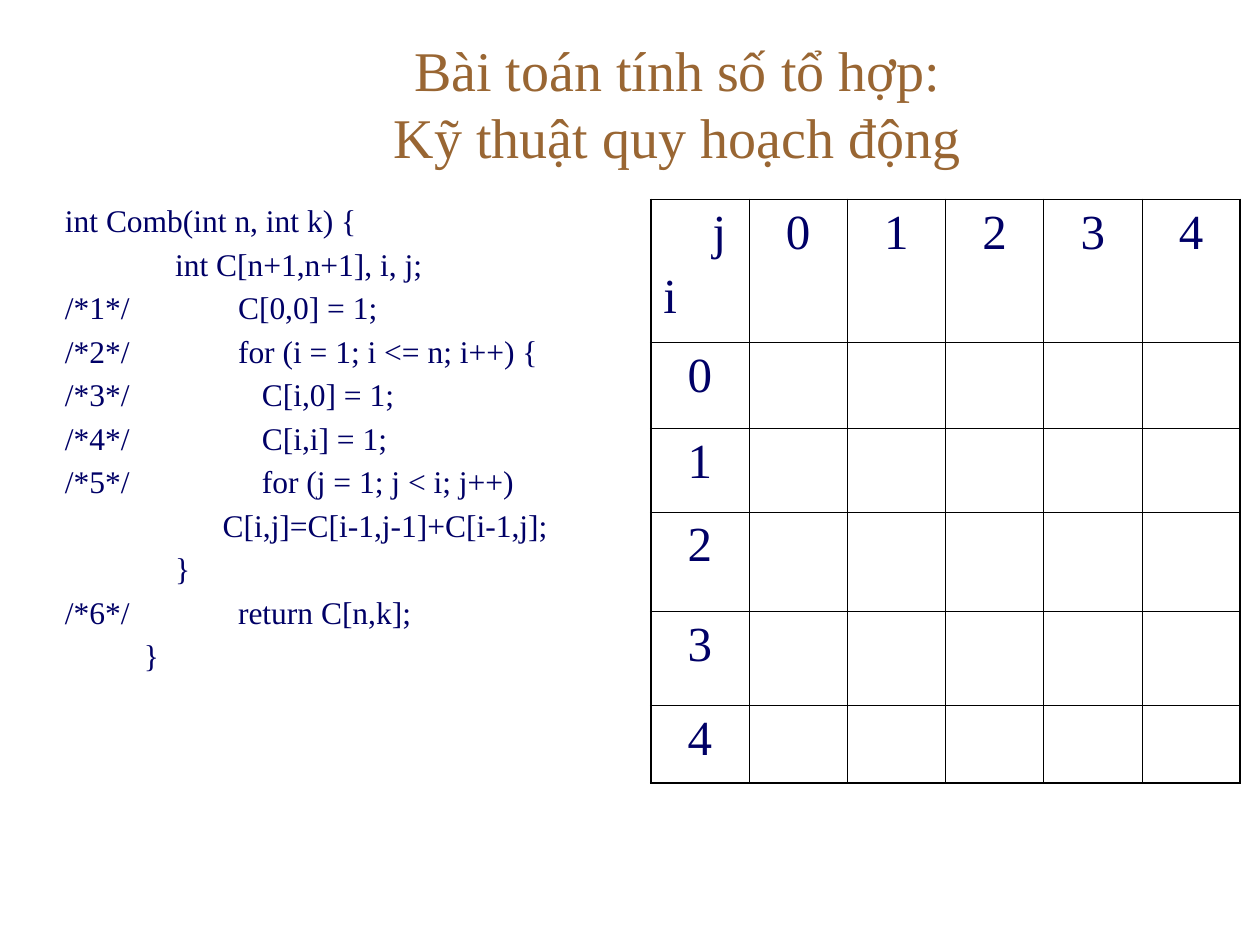
from pptx import Presentation
from pptx.dml.color import RGBColor
from pptx.enum.text import MSO_ANCHOR, PP_ALIGN
from pptx.oxml.ns import qn
from pptx.util import Cm, Pt
from lxml.etree import SubElement

COLORS = {"title": "996633", "text": "000066", "border": "000000"}
FONT = "Times New Roman"


def add_run(paragraph, text, size, color):
    run = paragraph.add_run()
    run.text = text
    run.font.name = FONT
    run.font.size = Pt(size)
    run.font.color.rgb = RGBColor.from_string(COLORS[color])


def set_indent(paragraph, left, first=0):
    properties = paragraph._p.get_or_add_pPr()
    properties.set("marL", str(Cm(left)))
    properties.set("indent", str(Cm(first)))


presentation = Presentation()
presentation.slide_width = Cm(25.4)
presentation.slide_height = Cm(19.05)
slide = presentation.slides.add_slide(presentation.slide_layouts[6])

# Title
title = slide.shapes.add_textbox(Cm(3.18), Cm(0.76), Cm(20.95), Cm(2.62))
title.text_frame.word_wrap = True
title.text_frame.vertical_anchor = MSO_ANCHOR.MIDDLE
paragraph = title.text_frame.paragraphs[0]
paragraph.alignment = PP_ALIGN.CENTER
add_run(paragraph, "Bài toán tính số tổ hợp:", 32, "title")
paragraph.add_line_break()
add_run(paragraph, "Kỹ thuật quy hoạch động", 32, "title")

# Code listing: line label, statement, indent of the statement in cm
code_lines = [
    ("", "int Comb(int n, int k) {", 0),
    ("", "int C[n+1,n+1], i, j;", 2.22),
    ("/*1*/", "C[0,0] = 1;", 3.49),
    ("/*2*/", "for (i = 1; i <= n; i++) {", 3.49),
    ("/*3*/", "C[i,0] = 1;", 3.97),
    ("/*4*/", "C[i,i] = 1;", 3.97),
    ("/*5*/", "for (j = 1; j < i; j++)", 3.97),
    ("", "C[i,j]=C[i-1,j-1]+C[i-1,j];", 3.18),
    ("", "}", 2.22),
    ("/*6*/", "return C[n,k];", 3.49),
    ("", "}", 1.59),
]
code = slide.shapes.add_textbox(Cm(1.06), Cm(4.02), Cm(11.85), Cm(12.5))
code.text_frame.word_wrap = True
for index, (label, statement, indent) in enumerate(code_lines):
    paragraph = code.text_frame.paragraphs[0] if index == 0 else code.text_frame.add_paragraph()
    paragraph.line_spacing = 0.9
    paragraph.space_before = Pt(5.4)
    set_indent(paragraph, indent, -indent if label else 0)
    add_run(paragraph, f"{label}\t{statement}" if label else statement, 18, "text")

# Table of C[i,j]
row_heights = [2.88, 1.73, 1.69, 2.0, 1.9, 1.57]
size = len(row_heights)
column_width = 1.98
table = slide.shapes.add_table(
    size, size, Cm(13.12), Cm(4.02), Cm(column_width * size), Cm(sum(row_heights))
).table
table.first_row = False
table.horz_banding = False
for column in table.columns:
    column.width = Cm(column_width)
for row, height in zip(table.rows, row_heights):
    row.height = Cm(height)

for i in range(size):
    for j in range(size):
        cell = table.cell(i, j)
        # Thick outer frame, thin inner grid
        properties = cell._tc.get_or_add_tcPr()
        outer_sides = {"a:lnL": j == 0, "a:lnR": j == size - 1,
                       "a:lnT": i == 0, "a:lnB": i == size - 1}
        for side, is_outer in outer_sides.items():
            line = SubElement(properties, qn(side), w=str(Pt(1.08 if is_outer else 0.45)))
            fill = SubElement(line, qn("a:solidFill"))
            SubElement(fill, qn("a:srgbClr"), val=COLORS["border"])
        cell.fill.background()

        # Index numbers along the top and the left
        if (i == 0) != (j == 0):
            paragraph = cell.text_frame.paragraphs[0]
            paragraph.alignment = PP_ALIGN.CENTER
            add_run(paragraph, str(i + j - 1), 28, "text")

# Corner cell naming both indices
corner = table.cell(0, 0).text_frame
set_indent(corner.paragraphs[0], 0.99)
add_run(corner.paragraphs[0], "j", 28, "text")
paragraph = corner.add_paragraph()
paragraph.space_before = Pt(5.6)
add_run(paragraph, "i", 28, "text")

presentation.save("out.pptx")
